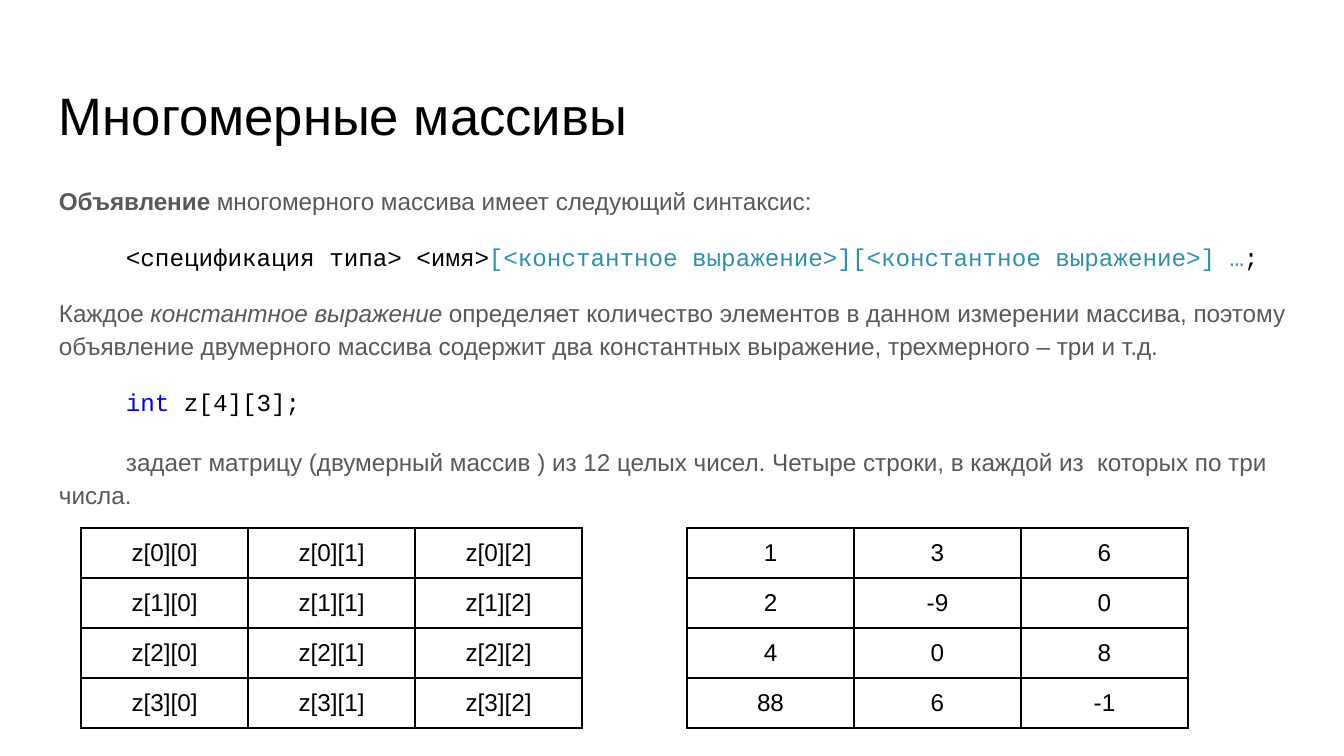
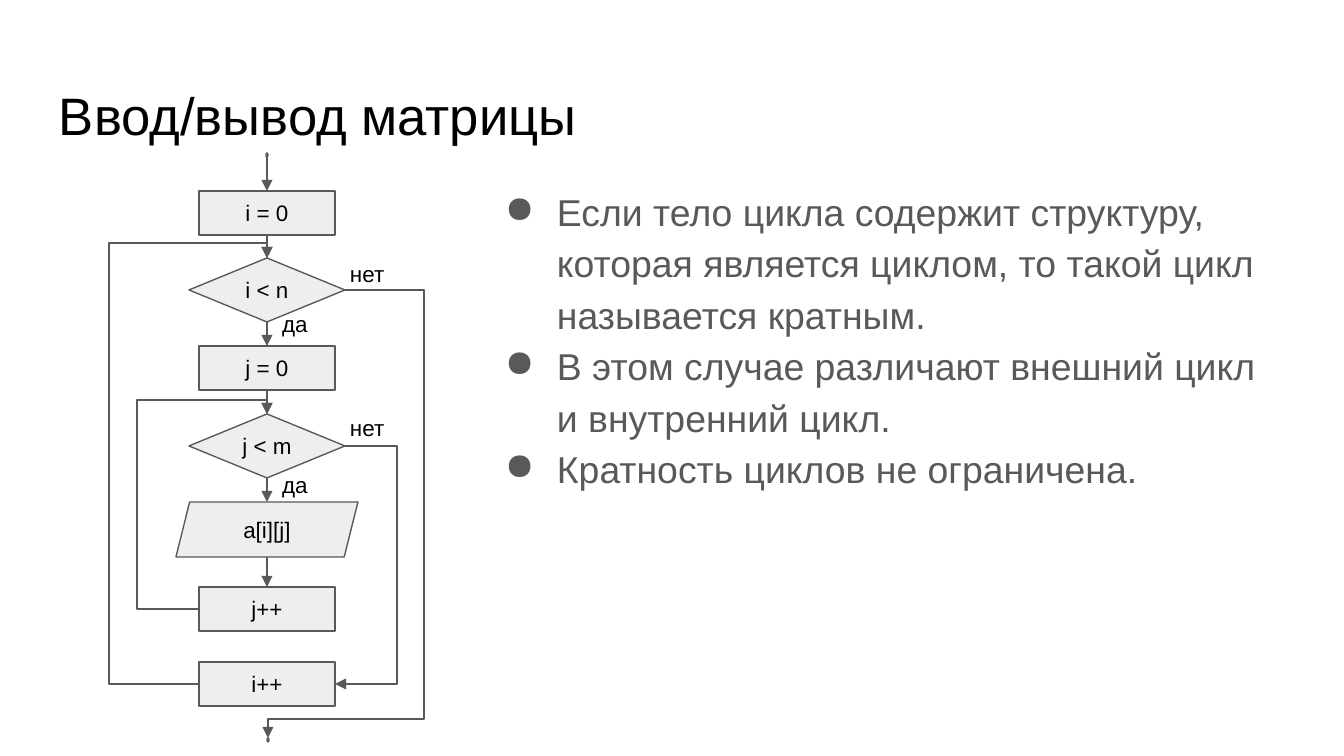
from lxml.etree import SubElement
from pptx import Presentation
from pptx.dml.color import RGBColor
from pptx.enum.shapes import MSO_CONNECTOR, MSO_SHAPE
from pptx.enum.text import MSO_ANCHOR, PP_ALIGN
from pptx.oxml.ns import qn
from pptx.util import Emu, Pt

SCALE = 914400 / 134.4  # EMU in one px
COLORS = {"text": "000000", "body": "595959", "line": "595959", "fill": "EEEEEE",
          "keyword": "0000FF", "syntax": "2B91AF", "paper": "FFFFFF"}
SANS, MONO = "Arial", "Courier New"
INSET = 13
TOP, BOTTOM, LEFT, RIGHT = 0, 2, 1, 3

# Slide 1 content: paragraphs as (first indent, space before, runs of (text, style))
PLAIN, BOLD, ITALIC = {}, {"bold": True}, {"italic": True}
CODE = {"name": MONO, "color": "text"}
KEYWORD = {"name": MONO, "color": "keyword"}
SYNTAX = {"name": MONO, "color": "syntax"}
DECLARATION = [
    (0, 0, [("Объявление", BOLD), (" многомерного массива имеет следующий синтаксис:", PLAIN)]),
    (67, 12, [("<спецификация типа> <имя>", CODE),
              ("[<константное выражение>][<константное выражение>] …", SYNTAX), (";", CODE)]),
    (0, 12, [("Каждое ", PLAIN), ("константное выражение", ITALIC),
             (" определяет количество элементов в данном измерении массива, поэтому объявление "
              "двумерного массива содержит два константных выражение, трехмерного – три и т.д.",
              PLAIN)]),
    (67, 12, [("int", KEYWORD), (" z[4][3];", CODE)]),
    (67, 14, [("задает матрицу (двумерный массив ) из 12 целых чисел. "
               "Четыре строки, в каждой из  которых по три числа.", PLAIN)]),
]
INDEXES = [[f"z[{row}][{column}]" for column in range(3)] for row in range(4)]
VALUES = [[1, 3, 6], [2, -9, 0], [4, 0, 8], [88, 6, -1]]
TABLES = [(81, INDEXES), (687, VALUES)]
TABLE_TOP, COLUMN_WIDTH, ROW_HEIGHT = 528, 167, 50

# Slide 2 content
LOOPS = [
    "Если тело цикла содержит структуру, которая является циклом, "
    "то такой цикл называется кратным.",
    "В этом случае различают внешний цикл и внутренний цикл.",
    "Кратность циклов не ограничена.",
]
SIZES = {MSO_SHAPE.RECTANGLE: (136, 44), MSO_SHAPE.DIAMOND: (156, 64),
         MSO_SHAPE.PARALLELOGRAM: (182, 55), MSO_SHAPE.OVAL: (2, 4)}
AXIS = 267
BLOCKS = {  # name: (kind, centre x, top, label)
    "start": (MSO_SHAPE.OVAL, AXIS, 153, ""),
    "set i": (MSO_SHAPE.RECTANGLE, AXIS, 191, "i = 0"),
    "test i": (MSO_SHAPE.DIAMOND, AXIS, 258, "i < n"),
    "set j": (MSO_SHAPE.RECTANGLE, AXIS, 346, "j = 0"),
    "test j": (MSO_SHAPE.DIAMOND, AXIS, 414, "j < m"),
    "element": (MSO_SHAPE.PARALLELOGRAM, AXIS, 502, "a[i][j]"),
    "next j": (MSO_SHAPE.RECTANGLE, AXIS, 587, "j++"),
    "next i": (MSO_SHAPE.RECTANGLE, AXIS, 662, "i++"),
    "finish": (MSO_SHAPE.OVAL, AXIS + 1, 738, ""),
}
DOWN = ["start", "set i", "test i", "set j", "test j", "element", "next j"]
BENDS = [  # from, side, to, side, x of the first bend, y of the second
    ("next j", LEFT, "test j", TOP, 137, 400),
    ("test j", RIGHT, "next i", RIGHT, 397, None),
    ("next i", LEFT, "test i", TOP, 109, 243),
    ("test i", RIGHT, "finish", TOP, 424, 719),
]
BRANCHES = [("да", 269, 297, 55), ("да", 269, 458, 55),
            ("нет", 337, 247, 69), ("нет", 337, 401, 69)]


def px(value):
    return Emu(round(value * SCALE))


def color(name):
    return RGBColor.from_string(COLORS[name])


def style_font(font, size=None, name=None, color_name=None, bold=None, italic=None):
    if size:
        font.size = Pt(size)
    if name:
        font.name = name
    if color_name:
        font.color.rgb = color(color_name)
    font.bold, font.italic = bold, italic


def set_insets(frame, horizontal=INSET, vertical=INSET):
    frame.margin_left = frame.margin_right = px(horizontal)
    frame.margin_top = frame.margin_bottom = px(vertical)


def add_text(slide, left, top, width, height):
    frame = slide.shapes.add_textbox(px(left), px(top), px(width), px(height)).text_frame
    frame.word_wrap = True
    set_insets(frame)
    return frame


def write(paragraph, text, size, color_name="text", align=None):
    paragraph.text = text
    paragraph.alignment = align
    style_font(paragraph.font, size, SANS, color_name)


def paragraphs(frame, count):
    return [frame.paragraphs[0]] + [frame.add_paragraph() for _ in range(count - 1)]


def set_indent(paragraph, margin, indent):
    properties = paragraph._p.get_or_add_pPr()
    properties.set("marL", str(px(margin)))
    properties.set("indent", str(px(indent)))
    return properties


def add_slide(presentation, title):
    slide = presentation.slides.add_slide(presentation.slide_layouts[6])
    slide.background.fill.solid()
    slide.background.fill.fore_color.rgb = color("paper")
    frame = add_text(slide, 46, 66, 1253, 85)
    frame.margin_top = px(17)
    write(frame.paragraphs[0], title, 28.2)
    return slide


def add_declaration(slide):
    frame = add_text(slide, 46, 169, 1253, 359)
    for paragraph, (indent, before, runs) in zip(paragraphs(frame, len(DECLARATION)), DECLARATION):
        set_indent(paragraph, 0, indent)
        paragraph.line_spacing, paragraph.space_before = 1.15, Pt(before)
        style_font(paragraph.font, 13, SANS, "body")
        for text, style in runs:
            run = paragraph.add_run()
            run.text = text
            style_font(run.font, name=style.get("name"), color_name=style.get("color"),
                       bold=style.get("bold"), italic=style.get("italic"))


def set_borders(cell):
    properties = cell._tc.get_or_add_tcPr()
    for index, side in enumerate(("a:lnL", "a:lnR", "a:lnT", "a:lnB")):
        line = properties.makeelement(qn(side), {"w": str(Pt(1))})
        properties.insert(index, line)
        SubElement(SubElement(line, qn("a:solidFill")), qn("a:srgbClr"), val=COLORS["text"])


def add_matrix(slide, left, rows):
    row_count, column_count = len(rows), len(rows[0])
    table = slide.shapes.add_table(row_count, column_count, px(left), px(TABLE_TOP),
                                   px(COLUMN_WIDTH * column_count),
                                   px(ROW_HEIGHT * row_count)).table
    table.first_row = table.horz_banding = False
    for column in table.columns:
        column.width = px(COLUMN_WIDTH)
    for row_index, row in enumerate(rows):
        table.rows[row_index].height = px(ROW_HEIGHT)
        for column_index, value in enumerate(row):
            cell = table.cell(row_index, column_index)
            cell.fill.background()
            cell.vertical_anchor = MSO_ANCHOR.MIDDLE
            set_insets(cell, INSET, 6)
            set_borders(cell)
            write(cell.text_frame.paragraphs[0], str(value), 13, align=PP_ALIGN.CENTER)


def add_block(slide, kind, center, top, label):
    width, height = SIZES[kind]
    shape = slide.shapes.add_shape(kind, px(center - width / 2), px(top), px(width), px(height))
    shape.shadow.inherit = False
    shape.fill.solid()
    shape.fill.fore_color.rgb = color("fill")
    shape.line.color.rgb = color("line")
    shape.line.width = Pt(0.75)
    if label:
        frame = shape.text_frame
        frame.word_wrap = False
        frame.vertical_anchor = MSO_ANCHOR.MIDDLE
        set_insets(frame)
        write(frame.paragraphs[0], label, 12, align=PP_ALIGN.CENTER)
    return shape


def side_point(name, side):
    kind, center, top, _ = BLOCKS[name]
    width, height = SIZES[kind]
    return {TOP: (center, top), BOTTOM: (center, top + height),
            LEFT: (center - width / 2, top + height / 2),
            RIGHT: (center + width / 2, top + height / 2)}[side]


def can_join(name, side):
    kind = BLOCKS[name][0]
    return kind in (MSO_SHAPE.RECTANGLE, MSO_SHAPE.DIAMOND) or (
        kind == MSO_SHAPE.OVAL and side == TOP)


def add_arrow(slide, shapes, first, first_side, last, last_side, kind=MSO_CONNECTOR.STRAIGHT):
    ends = side_point(first, first_side) + side_point(last, last_side)
    connector = slide.shapes.add_connector(kind, *[px(value) for value in ends])
    if can_join(first, first_side):
        connector.begin_connect(shapes[first], first_side)
    if can_join(last, last_side):
        connector.end_connect(shapes[last], last_side)
    connector.line.color.rgb = color("line")
    connector.line.width = Pt(0.75)
    SubElement(connector.line._get_or_add_ln(), qn("a:tailEnd"), type="triangle")
    SubElement(connector._element.spPr, qn("a:effectLst"))
    return connector


def add_bend(slide, shapes, first, first_side, last, last_side, bend_x, bend_y):
    connector = add_arrow(slide, shapes, first, first_side, last, last_side, MSO_CONNECTOR.ELBOW)
    (x1, y1), (x2, y2) = side_point(first, first_side), side_point(last, last_side)
    ratios = [(bend_x - x1) / (x2 - x1)]
    if bend_y is not None:
        ratios.append((bend_y - y1) / (y2 - y1))
    properties = connector._element.spPr
    geometry = properties.find(qn("a:prstGeom"))
    geometry.set("prst", f"bentConnector{len(ratios) + 2}")
    guides = geometry.find(qn("a:avLst"))
    if guides is None:
        guides = SubElement(geometry, qn("a:avLst"))
    for index, ratio in enumerate(ratios, 1):
        SubElement(guides, qn("a:gd"), name=f"adj{index}", fmla=f"val {round(ratio * 100000)}")
    # An upward route is a half turn with a horizontal flip
    if y2 < y1:
        transform = properties.find(qn("a:xfrm"))
        transform.attrib.pop("flipV", None)
        transform.set("rot", "10800000")
        transform.set("flipH", "1")


def add_flowchart(slide):
    shapes = {name: add_block(slide, *block) for name, block in BLOCKS.items()}
    for first, last in zip(DOWN, DOWN[1:]):
        add_arrow(slide, shapes, first, BOTTOM, last, TOP)
    for bend in BENDS:
        add_bend(slide, shapes, *bend)
    for text, left, top, width in BRANCHES:
        write(add_text(slide, left, top, width, 54).paragraphs[0], text, 12)


def add_bullets(slide):
    frame = add_text(slide, 477, 169, 821, 503)
    for index, paragraph in enumerate(paragraphs(frame, len(LOOPS))):
        properties = set_indent(paragraph, 67, -52)
        SubElement(SubElement(properties, qn("a:buClr")), qn("a:srgbClr"), val=COLORS["body"])
        SubElement(properties, qn("a:buChar"), char="●")
        paragraph.line_spacing = 1.15
        paragraph.space_before = Pt(0 if index else 9)
        write(paragraph, LOOPS[index], 20, "body")


def main():
    presentation = Presentation()
    presentation.slide_width, presentation.slide_height = px(1344), px(756)

    # Slide 1: declaration and two matrices
    slide = add_slide(presentation, "Многомерные массивы")
    add_declaration(slide)
    for left, rows in TABLES:
        add_matrix(slide, left, rows)

    # Slide 2: flowchart of nested loops
    slide = add_slide(presentation, "Ввод/вывод матрицы")
    add_flowchart(slide)
    add_bullets(slide)
    presentation.save("out.pptx")


if __name__ == "__main__":
    main()
